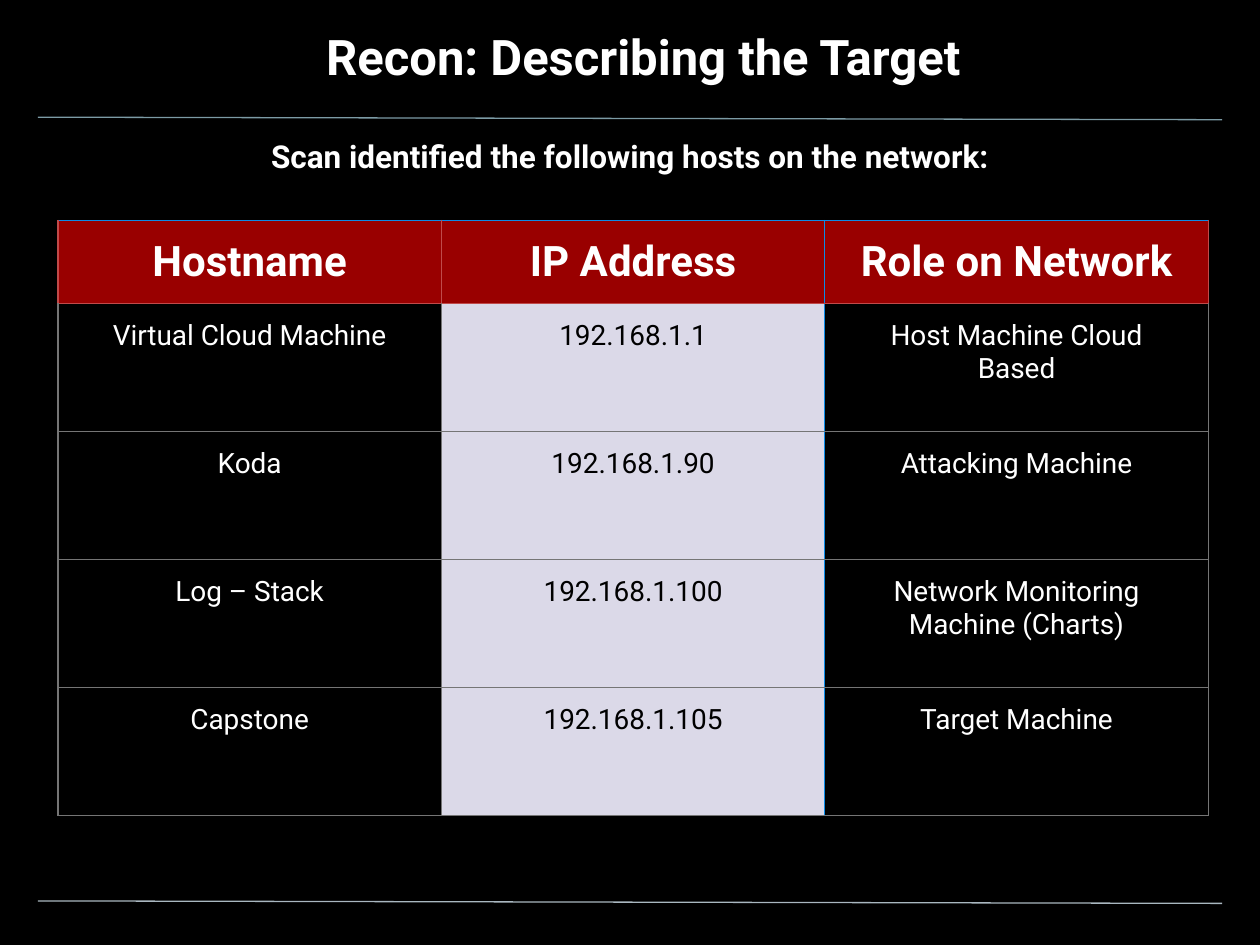
from pptx import Presentation
from pptx.util import Inches, Pt
from pptx.dml.color import RGBColor as RGB
from pptx.enum.shapes import MSO_CONNECTOR as Link
from pptx.enum.text import PP_ALIGN as Align, MSO_ANCHOR as Anchor
from pptx.oxml import parse_xml
from pptx.oxml.ns import nsdecls, qn
from lxml.etree import SubElement

HUES = {
    "back": "000000", "text": "FFFFFF", "dark": "000000",
    "head": "990000", "pale": "DBD9E8", "blue": "0D8BE6",
    "grey": "757575", "rose": "C04A4A", "top": "7C9BA5", "foot": "A9B7C0",
}
HOSTS = [
    ("Hostname", "IP Address", "Role on Network"),
    ("Virtual Cloud Machine", "192.168.1.1", "Host Machine Cloud Based"),
    ("Koda", "192.168.1.90", "Attacking Machine"),
    ("Log – Stack", "192.168.1.100", "Network Monitoring Machine (Charts)"),
    ("Capstone", "192.168.1.105", "Target Machine"),
]


def unit(n):
    """Turn grid columns or rows (100 by 75 on the slide) into a length."""
    return Inches(n / 10)


def hue(name):
    return RGB.from_string(HUES[name])


class Deck:
    font = "Roboto"

    def __init__(self):
        self.prs = Presentation()
        self.prs.slide_width, self.prs.slide_height = unit(100), unit(75)
        self.slide = self.prs.slides.add_slide(self.prs.slide_layouts[6])
        fill = self.slide.background.fill
        fill.solid()
        fill.fore_color.rgb = hue("back")

    def words(self, frame, text, size, color="text", bold=False):
        para = frame.paragraphs[0]
        para.alignment = Align.CENTER
        run = para.add_run()
        run.text = text
        font = run.font
        font.name, font.size, font.bold = self.font, Pt(size), bold
        font.color.rgb = hue(color)

    def label(self, text, box, pads, size, anchor):
        frame = self.slide.shapes.add_textbox(*map(unit, box)).text_frame
        frame.word_wrap = True
        frame.vertical_anchor = anchor
        (frame.margin_left, frame.margin_top,
         frame.margin_right, frame.margin_bottom) = map(unit, pads)
        self.words(frame, text, size, bold=True)

    def rule(self, row, color):
        line = self.slide.shapes.add_connector(
            Link.STRAIGHT, unit(3), unit(row), unit(97), unit(row + 0.2))
        line.line.color.rgb = hue(color)
        line.line.width = Pt(0.75)
        SubElement(line._element.spPr, qn("a:effectLst"))

    def edge(self, cell, side, color):
        cell._tc.get_or_add_tcPr().append(parse_xml(
            f'<a:ln{side} {nsdecls("a")} w="{Pt(0.75)}"><a:solidFill>'
            f'<a:srgbClr val="{HUES[color]}"/></a:solidFill></a:ln{side}>'))

    def frame(self, cell, row, col):
        """Blue marks the top and the last column's left side."""
        plain = "rose" if row == 0 else "grey"
        self.edge(cell, "L", "blue" if col == 2 else plain)
        self.edge(cell, "R", "blue" if col == 1 else plain)
        self.edge(cell, "T", "blue" if row == 0 else "rose" if row == 1 else "grey")
        self.edge(cell, "B", plain)

    def table(self, data, box, heights):
        grid = self.slide.shapes.add_table(
            len(data), len(data[0]), *map(unit, box)).table
        grid.horz_banding = grid.first_row = False
        for row, (texts, tall) in enumerate(zip(data, heights)):
            grid.rows[row].height = unit(tall)
            for col, text in enumerate(texts):
                self.cell(grid.cell(row, col), text, row, col)

    def cell(self, cell, text, row, col):
        head, pale = row == 0, row > 0 and col == 1
        cell.margin_left = cell.margin_right = unit(2)
        cell.margin_top = cell.margin_bottom = unit(1.3)
        cell.vertical_anchor = Anchor.MIDDLE if head else Anchor.TOP
        self.frame(cell, row, col)
        if head or pale:
            cell.fill.solid()
            cell.fill.fore_color.rgb = hue("head" if head else "pale")
        else:
            cell.fill.background()
        self.words(cell.text_frame, text, 24 if head else 16,
                   "dark" if pale else "text", head)


def main():
    deck = Deck()
    deck.rule(9.3, "top")
    deck.rule(71.5, "foot")
    deck.label("Recon: Describing the Target", (-0.1, 0, 100.3, 7.8),
               (5, 2, 3, 1), 28, Anchor.MIDDLE)
    deck.label("Scan identified the following hosts on the network:",
               (0, 9.9, 100, 5.3), (5, 1, 5, 0), 18, Anchor.TOP)
    deck.table(HOSTS, (4.6, 17.5, 91.3, 47.3), [6.6] + [10.16] * 4)
    deck.prs.save("out.pptx")


if __name__ == "__main__":
    main()
